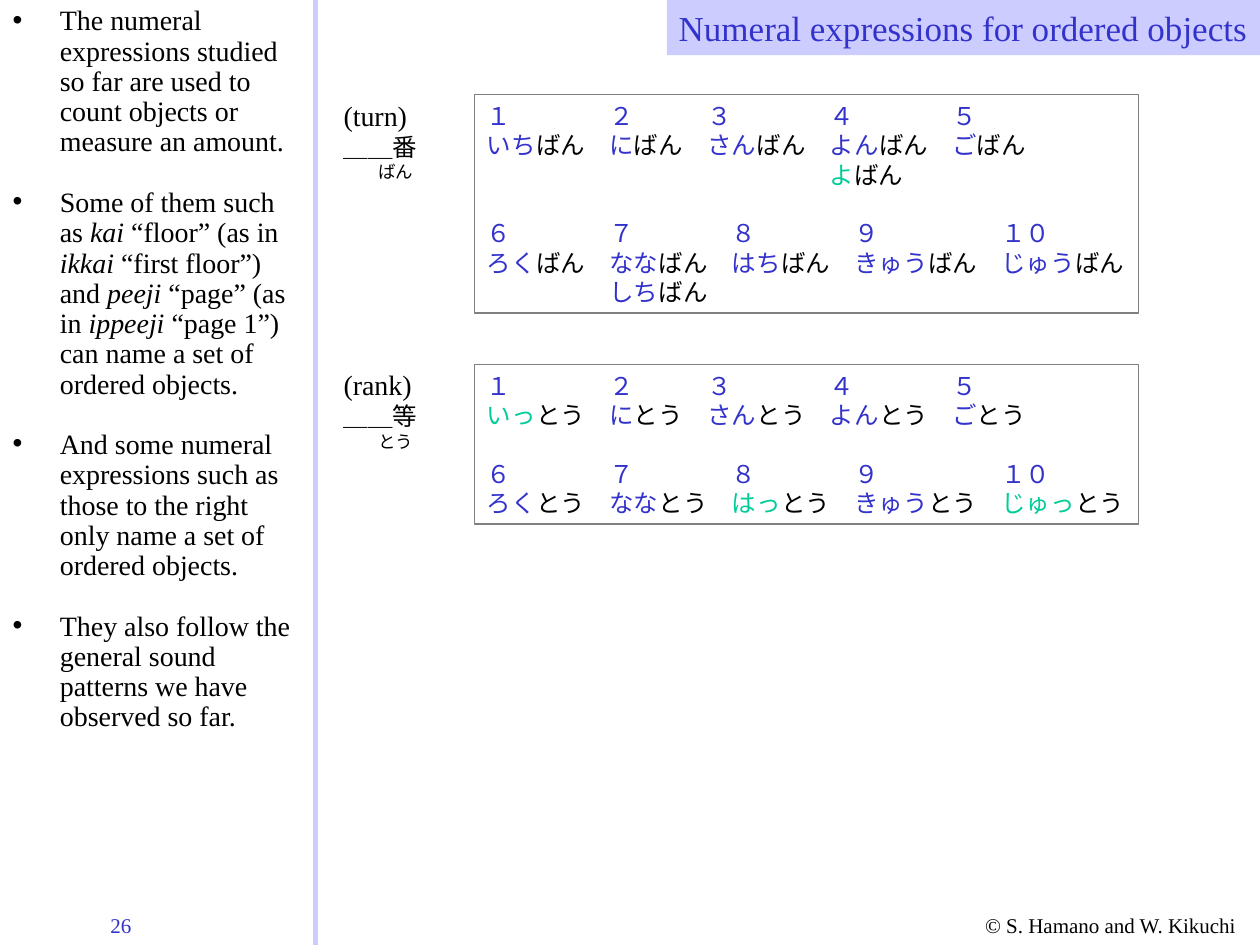
from dataclasses import dataclass

from lxml.etree import SubElement
from pptx import Presentation
from pptx.dml.color import RGBColor as Rgb
from pptx.enum.shapes import MSO_CONNECTOR as Connector, MSO_SHAPE as Shape
from pptx.enum.text import MSO_ANCHOR as Anchor, MSO_AUTO_SIZE as AutoSize, PP_ALIGN as Align
from pptx.oxml.ns import qn
from pptx.util import Pt


@dataclass(frozen=True)
class Theme:
    latin: str = "Times New Roman"
    japanese: str = "Noto Sans CJK JP"
    black: Rgb = Rgb.from_string("000000")
    blue: Rgb = Rgb.from_string("3333CC")
    green: Rgb = Rgb.from_string("00CC99")
    lavender: Rgb = Rgb.from_string("CCCCFF")
    gray: Rgb = Rgb.from_string("808080")
    title: int = 20
    body: int = 16
    kana: int = 14
    footer: int = 12
    reading: int = 10
    leading: float = 1.2


THEME = Theme()
KANA_LINE = THEME.kana * THEME.leading
BODY_LINE = 17.28
INSET_X, INSET_Y = 7.2, 3.6
HANGING = 27
FIRST_FIVE = (0, 5, 9, 14, 19)
LAST_FIVE = (0, 5, 10, 15, 21)

POINTS = [
    ["The numeral expressions studied so far are used to count objects or measure an amount."],
    ["Some of them such as ", "kai", " “floor” (as in ", "ikkai", " “first floor”) and ",
     "peeji", " “page” (as in ", "ippeeji", " “page 1”) can name a set of ordered objects."],
    ["And some numeral expressions such as those to the right only name a set of ordered objects."],
    ["They also follow the general sound patterns we have observed so far."],
]

# In the rows below, * marks an irregular stem and - an empty column.
TURN_ROWS = [
    (FIRST_FIVE, "１ ２ ３ ４ ５", ["いち に さん よん ご", "- - - *よ -"]),
    (LAST_FIVE, "６ ７ ８ ９ １０", ["ろく なな はち きゅう じゅう", "- しち - - -"]),
]
RANK_ROWS = [
    (FIRST_FIVE, "１ ２ ３ ４ ５", ["*いっ に さん よん ご"]),
    (LAST_FIVE, "６ ７ ８ ９ １０", ["ろく なな *はっ きゅう *じゅっ"]),
]


def add_run(paragraph, text, size, color=THEME.black, font=THEME.latin, italic=False):
    run = paragraph.add_run()
    run.text = text
    run.font.size = Pt(size)
    run.font.color.rgb = color
    run.font.name = font
    run.font.italic = italic
    if font == THEME.japanese:
        SubElement(run.font._element, qn("a:ea"), typeface=font)


def next_paragraph(frame, line=None, before=0):
    first = frame.paragraphs[0]
    paragraph = frame.add_paragraph() if first.runs else first
    paragraph.space_before = Pt(before)
    if line:
        paragraph.line_spacing = Pt(line)
    return paragraph


def place(shape, left, top, width, height):
    shape.left, shape.top = Pt(left), Pt(top)
    shape.width, shape.height = Pt(width), Pt(height)


def add_text_box(slide, left, top, width, height):
    frame = slide.shapes.add_textbox(Pt(left), Pt(top), Pt(width), Pt(height)).text_frame
    frame.word_wrap = True
    return frame


def format_title(slide, text):
    title = slide.shapes.title
    place(title, 381, 0, 339, 31.5)
    title.fill.solid()
    title.fill.fore_color.rgb = THEME.lavender
    frame = title.text_frame
    frame.auto_size = AutoSize.NONE
    frame.margin_left = 0
    paragraph = next_paragraph(frame)
    paragraph.alignment = Align.RIGHT
    add_run(paragraph, text, THEME.title, THEME.blue)


def format_points(slide):
    body = slide.placeholders[1]
    place(body, 0, 0, 180.5, 430)
    frame = body.text_frame
    frame.auto_size = AutoSize.NONE
    for number, pieces in enumerate(POINTS):
        paragraph = next_paragraph(frame, BODY_LINE, BODY_LINE if number else 0)
        properties = paragraph._p.get_or_add_pPr()
        properties.set("marL", str(Pt(HANGING)))
        properties.set("indent", str(-Pt(HANGING)))
        SubElement(properties, qn("a:buChar"), char="•")
        for position, piece in enumerate(pieces):
            add_run(paragraph, piece, THEME.body, italic=position % 2 == 1)


def add_divider(slide, x):
    divider = slide.shapes.add_connector(Connector.STRAIGHT, Pt(x), 0, Pt(x), Pt(540))
    divider.line.color.rgb = THEME.lavender
    divider.line.width = Pt(3)
    SubElement(divider._element.spPr, qn("a:effectLst"))


def add_counter_label(slide, top, meaning, kanji, reading):
    frame = add_text_box(slide, 189.2, top, 79, 55.5)
    add_run(next_paragraph(frame), meaning, THEME.body)
    add_run(next_paragraph(frame, KANA_LINE), "＿＿" + kanji, THEME.kana, font=THEME.japanese)
    paragraph = next_paragraph(frame, THEME.reading * THEME.leading)
    paragraph._p.get_or_add_pPr().set("marL", str(Pt(20)))
    add_run(paragraph, reading, THEME.reading, font=THEME.japanese)


def add_grid_line(frame, columns, entries, suffix="", before=0):
    paragraph = next_paragraph(frame, KANA_LINE, before)
    tabs = SubElement(paragraph._p.get_or_add_pPr(), qn("a:tabLst"))
    for column, entry in zip(columns, entries.split()):
        if entry == "-":
            continue
        if column:
            SubElement(tabs, qn("a:tab"), pos=str(Pt(column * THEME.kana)), algn="l")
        color = THEME.green if entry.startswith("*") else THEME.blue
        lead = "\t" if column else ""
        add_run(paragraph, lead + entry.lstrip("*"), THEME.kana, color, THEME.japanese)
        if suffix:
            add_run(paragraph, suffix, THEME.kana, font=THEME.japanese)


def add_counter_grid(slide, top, suffix, rows):
    lines = sum(1 + len(stems) for _, _, stems in rows) + len(rows) - 1
    box = slide.shapes.add_shape(Shape.RECTANGLE, Pt(271.2), Pt(top), Pt(379.4),
                                 Pt(lines * KANA_LINE + 2 * INSET_Y))
    box.shadow.inherit = False
    box.fill.background()
    box.line.color.rgb = THEME.gray
    box.line.width = Pt(0.75)
    frame = box.text_frame
    frame.word_wrap = True
    frame.vertical_anchor = Anchor.TOP
    frame.margin_left, frame.margin_right = Pt(INSET_X), 0
    for number, (columns, numerals, stem_lines) in enumerate(rows):
        add_grid_line(frame, columns, numerals, before=KANA_LINE if number else 0)
        for stems in stem_lines:
            add_grid_line(frame, columns, stems, suffix)
    for paragraph in frame.paragraphs:
        paragraph.alignment = Align.LEFT


def add_counter(slide, top, meaning, kanji, reading, rows):
    add_counter_label(slide, top - 1.5, meaning, kanji, reading)
    add_counter_grid(slide, top, reading, rows)


def add_footer(slide, left, width, text, color):
    frame = add_text_box(slide, left, 517.7, width, 21.6)
    add_run(next_paragraph(frame), text, THEME.footer, color)


def main():
    presentation = Presentation()
    presentation.slide_width, presentation.slide_height = Pt(720), Pt(540)
    slide = presentation.slides.add_slide(presentation.slide_layouts[1])
    add_footer(slide, 555.8, 164.2, "© S. Hamano and W. Kikuchi", THEME.black)
    add_footer(slide, 56, 64, "26", THEME.blue)
    add_divider(slide, 180.5)
    format_points(slide)
    format_title(slide, "Numeral expressions for ordered objects")
    add_counter(slide, 54, "(turn)", "番", "ばん", TURN_ROWS)
    add_counter(slide, 208.2, "(rank)", "等", "とう", RANK_ROWS)
    presentation.save("out.pptx")


if __name__ == "__main__":
    main()
